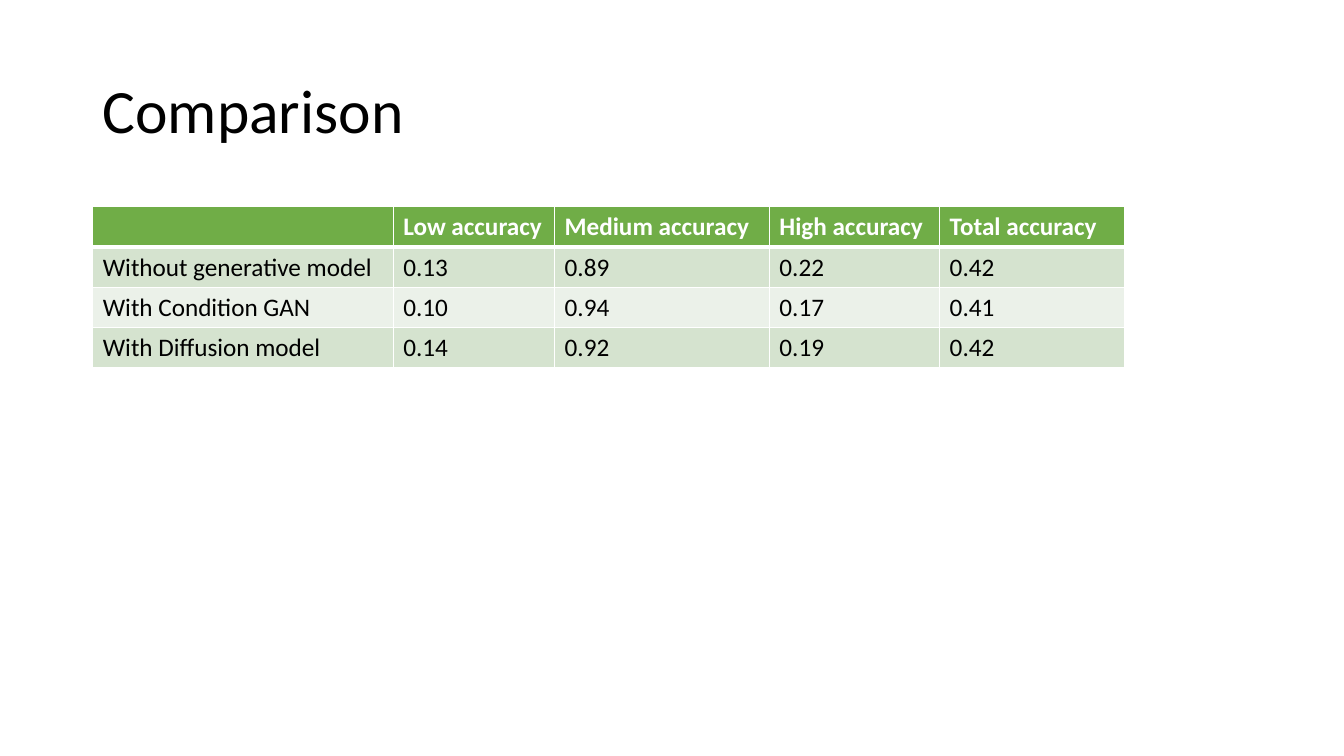
from dataclasses import dataclass

from lxml.etree import SubElement as Sub
from pptx import Presentation
from pptx.dml.color import RGBColor as Rgb
from pptx.enum.text import MSO_ANCHOR as Anchor
from pptx.oxml.ns import qn
from pptx.util import Emu, Pt

PX = 9144  # 100 px to the inch


@dataclass(frozen=True)
class Theme:
    font: str = "Calibri"
    ink: str = "000000"
    white: str = "FFFFFF"
    head: str = "70AD47"
    bands: tuple = ("D5E3CF", "EBF1E9")
    title: int = 44
    body: int = 18
    thin: int = 1
    thick: int = 3


def px(*sizes):
    return [Emu(size * PX) for size in sizes]


class Deck:
    def __init__(self, theme, width, height):
        self.theme = theme
        self.prs = Presentation()
        self.prs.slide_width, self.prs.slide_height = px(width, height)
        self.slide = self.prs.slides.add_slide(self.prs.slide_layouts[6])

    def label(self, frame, text, size, color, bold=False):
        para = frame.paragraphs[0]
        run = para.add_run()
        run.text = text
        look = {"name": self.theme.font, "size": Pt(size), "bold": bold}
        for key, value in look.items():
            setattr(run.font, key, value)
        run.font.color.rgb = Rgb.from_string(color)
        return para

    def title(self, text, *box):
        frame = self.slide.shapes.add_textbox(*px(*box)).text_frame
        look = {"word_wrap": True, "vertical_anchor": Anchor.MIDDLE}
        for key, value in look.items():
            setattr(frame, key, value)
        para = self.label(frame, text, self.theme.title, self.theme.ink)
        para.line_spacing = 0.9

    def edge(self, cell, side, width):
        """Draw one white border; side is L, R, T or B."""
        props = cell._tc.get_or_add_tcPr()
        line = Sub(props, qn(f"a:ln{side}"), w=str(Pt(width)))
        fill = Sub(line, qn("a:solidFill"))
        Sub(fill, qn("a:srgbClr"), val=self.theme.white)

    def cell(self, cell, text, row):
        theme = self.theme
        head = row == 0
        heavy = {0: "B", 1: "T"}.get(row)
        for side in "LRTB":
            self.edge(cell, side, theme.thick if side == heavy else theme.thin)
        cell.fill.solid()
        shade = theme.head if head else theme.bands[(row - 1) % 2]
        cell.fill.fore_color.rgb = Rgb.from_string(shade)
        if text:
            color = theme.white if head else theme.ink
            self.label(cell.text_frame, text, theme.body, color, head)

    def table(self, rows, left, top, widths, height):
        box = px(left, top, sum(widths), height * len(rows))
        grid = self.slide.shapes.add_table(len(rows), len(widths), *box).table
        for col, width in zip(grid.columns, px(*widths)):
            col.width = width
        for i, texts in enumerate(rows):
            grid.rows[i].height = px(height)[0]
            for j, text in enumerate(texts):
                self.cell(grid.cell(i, j), text, i)


def main():
    deck = Deck(Theme(), 1333, 750)
    deck.title("Comparison", 92, 40, 1150, 145)
    rows = [
        ("", "Low accuracy", "Medium accuracy", "High accuracy", "Total accuracy"),
        ("Without generative model", "0.13", "0.89", "0.22", "0.42"),
        ("With Condition GAN", "0.10", "0.94", "0.17", "0.41"),
        ("With Diffusion model", "0.14", "0.92", "0.19", "0.42"),
    ]
    deck.table(rows, 92, 205, (298, 160, 213, 169, 183), 40)
    deck.prs.save("out.pptx")


if __name__ == "__main__":
    main()
